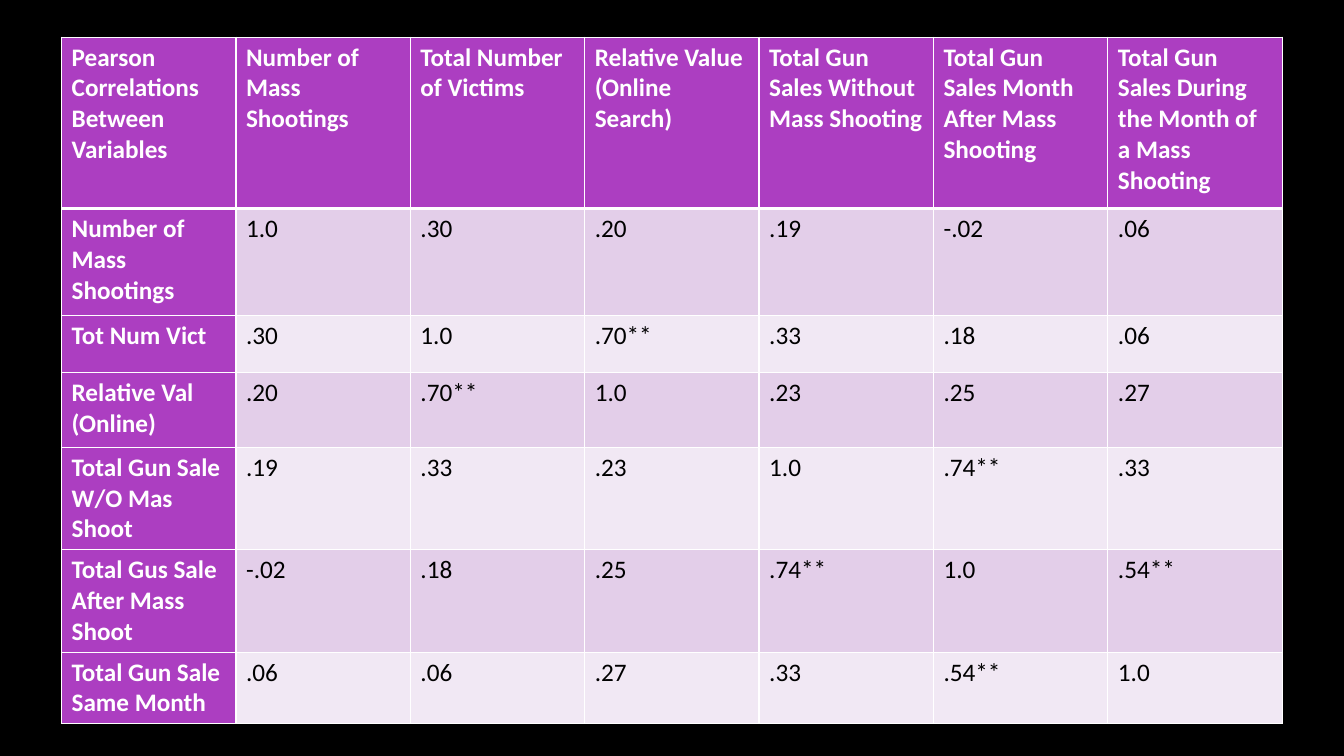
from lxml.etree import SubElement as Sub
from pptx import Presentation
from pptx.dml.color import RGBColor as RGB
from pptx.oxml.ns import qn
from pptx.util import Pt

HUES = {
    "back": "000000", "head": "AC3EC1", "odd": "E3CEE9", "even": "F1E8F4",
    "light": "FFFFFF", "dark": "000000",
}
HEADS = [
    "Pearson Correlations Between Variables",
    "Number of Mass Shootings",
    "Total Number of Victims",
    "Relative Value (Online Search)",
    "Total Gun Sales Without Mass Shooting",
    "Total Gun Sales Month After Mass Shooting",
    "Total Gun Sales During the Month of a Mass Shooting",
]
ROWS = [
    ["Number of Mass Shootings", "1.0", ".30", ".20", ".19", "-.02", ".06"],
    ["Tot Num Vict", ".30", "1.0", ".70**", ".33", ".18", ".06"],
    ["Relative Val (Online)", ".20", ".70**", "1.0", ".23", ".25", ".27"],
    ["Total Gun Sale W/O Mas Shoot", ".19", ".33", ".23", "1.0", ".74**", ".33"],
    ["Total Gus Sale After Mass Shoot", "-.02", ".18", ".25", ".74**", "1.0", ".54**"],
    ["Total Gun Sale Same Month", ".06", ".06", ".27", ".33", ".54**", "1.0"],
]
TALL = [122.4, 76.3, 41, 53.3, 73.2, 73.2, 51.2]


def write(cell, text, size=18, font="Calibri", hue="dark", bold=False):
    """Put formatted text in a cell."""
    run = cell.text_frame.paragraphs[0].add_run()
    run.text = text
    run.font.size = Pt(size)
    run.font.name = font
    run.font.bold = bold
    run.font.color.rgb = RGB.from_string(HUES[hue])


def edge(cell, hue="light", **wide):
    """Draw the four cell borders, 1 pt unless a side is given a width."""
    props = cell._tc.get_or_add_tcPr()
    for side in "LRTB":
        line = Sub(props, qn(f"a:ln{side}"), w=str(Pt(wide.get(side, 1))))
        fill = Sub(line, qn("a:solidFill"))
        Sub(fill, qn("a:srgbClr"), val=HUES[hue])


def matrix(slide, left, top, width, tall):
    """Fill the given box with the correlation table."""
    data = [HEADS, *ROWS]
    count = len(HEADS)
    table = slide.shapes.add_table(
        len(data), count, Pt(left), Pt(top), Pt(width), Pt(sum(tall))).table
    for col in table.columns:
        col.width = Pt(width / count)
    for r, texts in enumerate(data):
        table.rows[r].height = Pt(tall[r])
        for c, text in enumerate(texts):
            cell = table.cell(r, c)
            title = r == 0 or c == 0
            edge(cell, T=3 if r == 1 else 1, B=3 if r == 0 else 1)
            band = "head" if title else "odd" if r % 2 else "even"
            cell.fill.solid()
            cell.fill.fore_color.rgb = RGB.from_string(HUES[band])
            write(cell, text, hue="light" if title else "dark", bold=title)


def main():
    """Build and save the slide."""
    deck = Presentation()
    deck.slide_width, deck.slide_height = Pt(960), Pt(540)
    slide = deck.slides.add_slide(deck.slide_layouts[6])
    back = slide.background.fill
    back.solid()
    back.fore_color.rgb = RGB.from_string(HUES["back"])
    matrix(slide, 44, 26.5, 872, TALL)
    deck.save("out.pptx")


if __name__ == "__main__":
    main()
